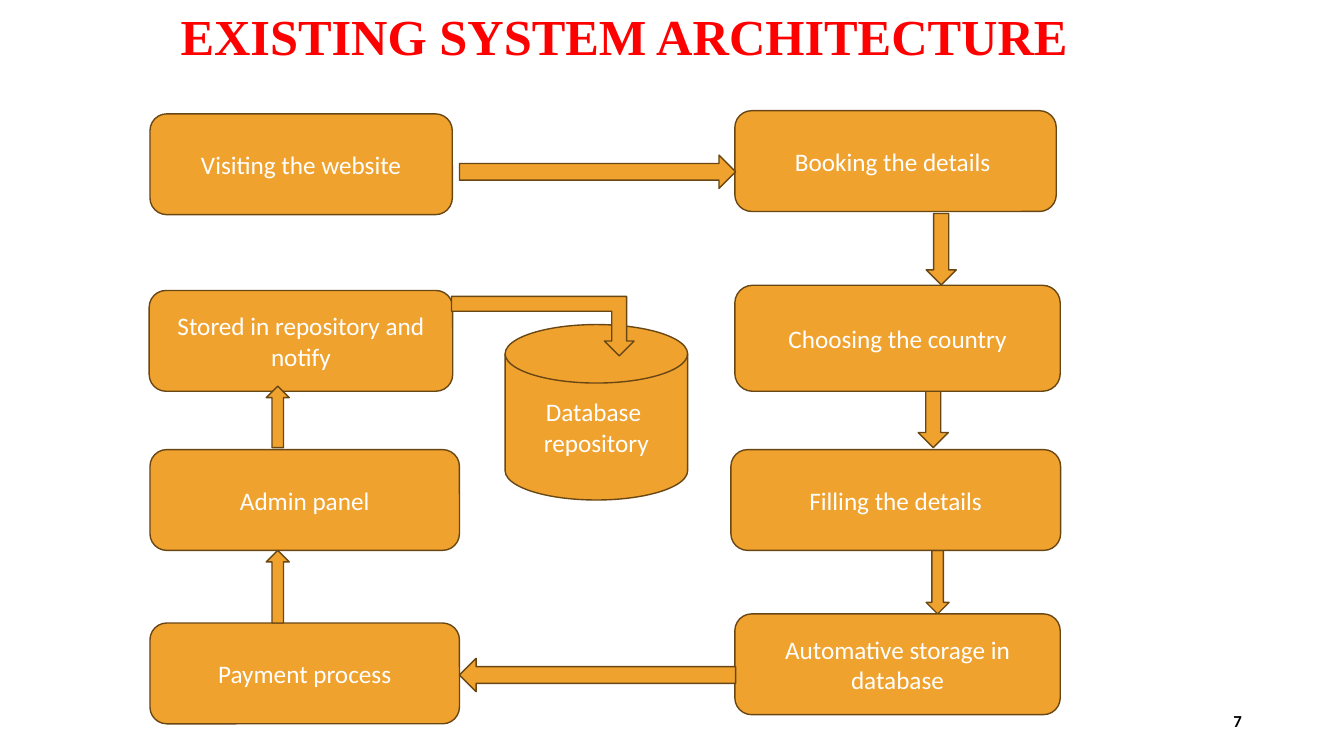
import pptx
import pptx.dml.color
import pptx.enum.shapes
import pptx.enum.text
import pptx.util

Cm = pptx.util.Cm
SHAPE = pptx.enum.shapes.MSO_SHAPE
ALIGN = pptx.enum.text.PP_ALIGN
ANCHOR = pptx.enum.text.MSO_ANCHOR
AUTO_SIZE = pptx.enum.text.MSO_AUTO_SIZE

COLORS = {"title": "FF0000", "number": "000000", "label": "FFFFFF",
          "fill": "F0A22E", "line": "694714"}
FORMATS = {
    "title": {"name": "Times New Roman", "size": pptx.util.Pt(36), "bold": True},
    "number": {"name": "Calibri", "size": pptx.util.Pt(12), "bold": True},
    "label": {"name": "Calibri", "size": pptx.util.Pt(18), "bold": False},
}
CARD_HEIGHT = 2.54

LEFT_BOX = (3.78, 2.87, 7.8, 15.37)
RIGHT_BOX = (18.52, 2.79, 8.2, 15.22)
MIDDLE_BOX = (11.58, 3.91, 6.96, 13.52)

LEFT_CARDS = [
    ("Visiting the website", 0, 0, 7.62, CARD_HEIGHT),
    ("Stored in repository and notify", -0.02, 4.45, 7.65, CARD_HEIGHT),
    ("Admin panel", 0, 8.46, 7.8, CARD_HEIGHT),
    ("Payment process", 0, 12.83, 7.8, CARD_HEIGHT),
]
RIGHT_CARDS = [
    ("Booking the details ", 0, 0, 8.1, CARD_HEIGHT),
    ("Choosing the country", 0, 4.4, 8.2, 2.67),
    ("Filling the details", -0.1, 8.54, 8.31, CARD_HEIGHT),
    ("Automative storage in database", 0, 12.68, 8.2, CARD_HEIGHT),
]
LEFT_ARROWS = [(2.93, 11, 0.58, 1.83), (2.93, 6.86, 0.58, 1.55)]
RIGHT_ARROWS = [(4.82, 2.59, 0.76, 1.8), (4.62, 6.94, 0.76, 1.55),
                (4.82, 11.08, 0.58, 1.6)]


def color(name):
    return pptx.dml.color.RGBColor.from_string(COLORS[name])


def write_text(text_frame, text, style, alignment):
    text_frame.text = text
    for paragraph in text_frame.paragraphs:
        paragraph.alignment = alignment
        for run in paragraph.runs:
            for attribute, value in FORMATS[style].items():
                setattr(run.font, attribute, value)
            run.font.color.rgb = color(style)


def add_block(slide, kind, left, top, width, height, text=""):
    shape = slide.shapes.add_shape(kind, Cm(left), Cm(top), Cm(width), Cm(height))
    shape.shadow.inherit = False
    shape.fill.solid()
    shape.fill.fore_color.rgb = color("fill")
    shape.line.color.rgb = color("line")
    shape.line.width = pptx.util.Pt(1)
    if text:
        write_text(shape.text_frame, text, "label", ALIGN.CENTER)
    return shape


def add_title(slide, box):
    title = slide.shapes.title
    for attribute, value in zip(("left", "top", "width", "height"), box):
        setattr(title, attribute, Cm(value))
    frame = title.text_frame
    write_text(frame, "EXISTING SYSTEM ARCHITECTURE", "title", ALIGN.CENTER)
    settings = {"word_wrap": False, "vertical_anchor": ANCHOR.TOP,
                "auto_size": AUTO_SIZE.SHAPE_TO_FIT_TEXT}
    for attribute, value in settings.items():
        setattr(frame, attribute, value)


def add_page_number(slide, box):
    frame = slide.shapes.add_textbox(*map(Cm, box)).text_frame
    frame.word_wrap = True
    frame.vertical_anchor = ANCHOR.MIDDLE
    write_text(frame, "7", "number", ALIGN.RIGHT)


def add_cards(slide, box, cards):
    for text, x, y, width, height in cards:
        add_block(slide, SHAPE.ROUNDED_RECTANGLE,
                  box[0] + x, box[1] + y, width, height, text)


def add_step_arrows(slide, box, kind, arrows):
    for x, y, width, height in arrows:
        add_block(slide, kind, box[0] + x, box[1] + y, width, height)


def add_middle(slide, box):
    left, top, width, height = box
    arrow_height = 0.84
    add_block(slide, SHAPE.FLOWCHART_MAGNETIC_DISK, left + 1.15, top + 4.27,
              4.6, 4.42, "Database \nrepository")
    add_block(slide, SHAPE.RIGHT_ARROW, left, top, width, arrow_height)
    add_block(slide, SHAPE.LEFT_ARROW, left, top + height - arrow_height,
              width, arrow_height)
    bent_arrow = add_block(slide, SHAPE.BENT_UP_ARROW, left - 0.2, top + 3.56, 4.6, 1.5)
    bent_arrow.element.spPr.xfrm.set("flipV", "1")


def main():
    presentation = pptx.Presentation()
    presentation.slide_width = Cm(33.87)
    presentation.slide_height = Cm(19.05)
    slide = presentation.slides.add_slide(presentation.slide_layouts[5])
    add_title(slide, (4.19, 0, 23.09, 1.8))
    add_page_number(slide, (23.93, 17.65, 7.62, 1.02))
    add_cards(slide, LEFT_BOX, LEFT_CARDS)
    add_step_arrows(slide, LEFT_BOX, SHAPE.UP_ARROW, LEFT_ARROWS)
    add_step_arrows(slide, RIGHT_BOX, SHAPE.DOWN_ARROW, RIGHT_ARROWS)
    add_cards(slide, RIGHT_BOX, RIGHT_CARDS)
    add_middle(slide, MIDDLE_BOX)
    presentation.save("out.pptx")


if __name__ == "__main__":
    main()
